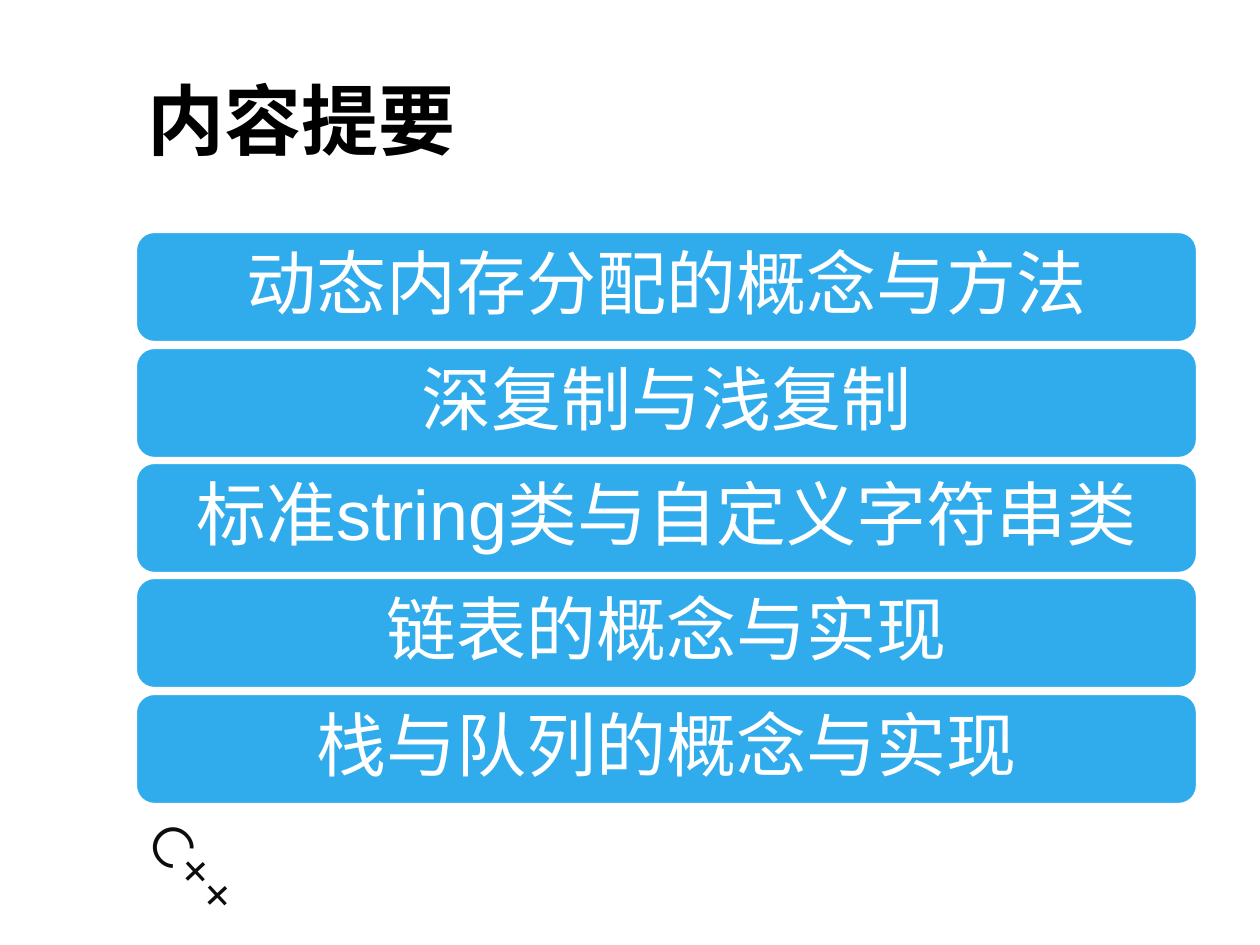
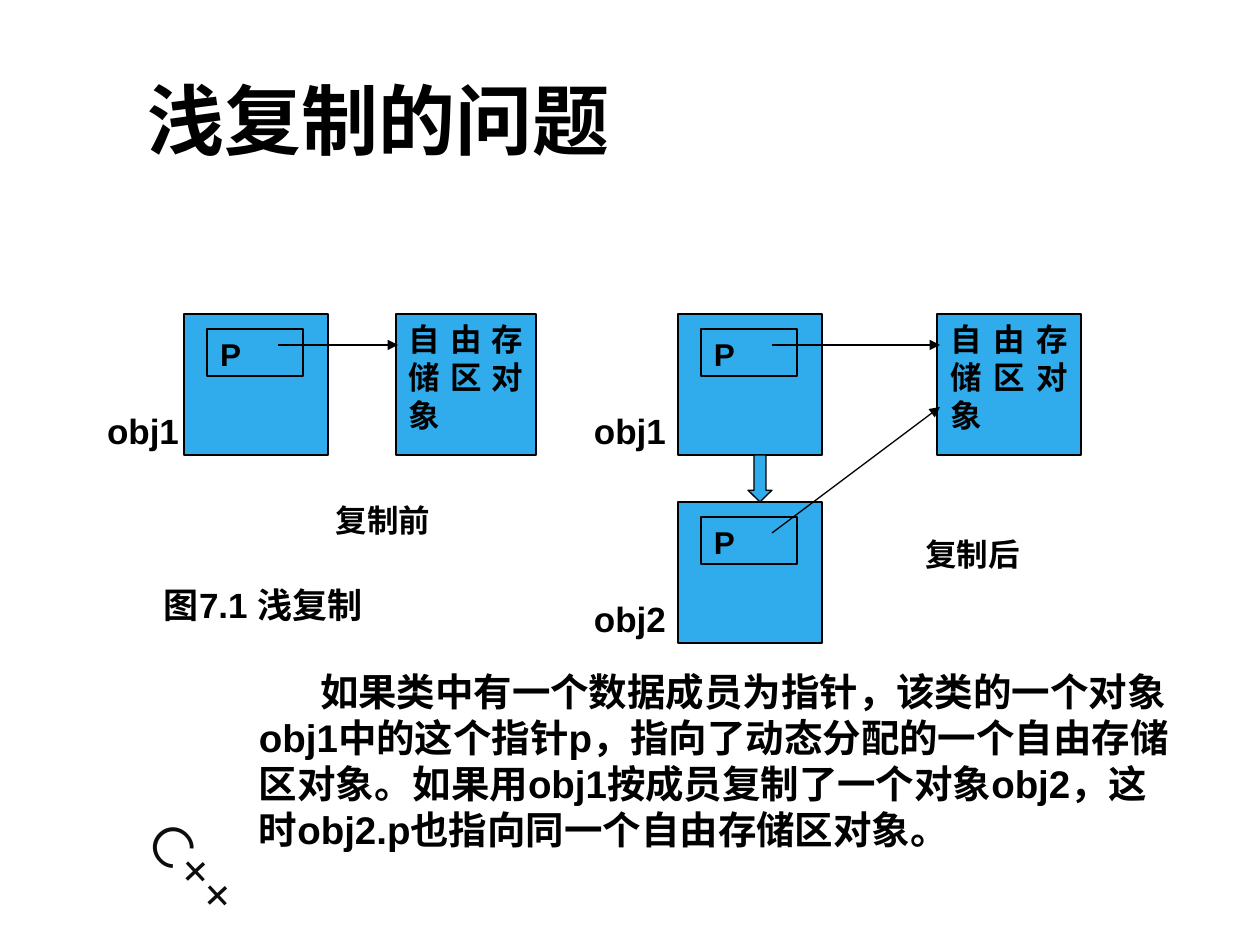
from dataclasses import dataclass
from typing import Any, NamedTuple

from lxml import etree
from pptx import Presentation
from pptx import util as u
from pptx.dml.color import RGBColor
from pptx.enum import shapes, text
from pptx.oxml.ns import qn

PX = 914400 / 126
COLORS = {"box": "30ACEC", "ink": "000000", "paper": "FFFFFF", "mark": "0D0D0D"}
FONT = "Arial"
SHAPE = shapes.MSO_SHAPE
ALIGN = text.PP_ALIGN
ANCHOR = text.MSO_ANCHOR


class Box(NamedTuple):
    x: int
    y: int
    w: int
    h: int


@dataclass(frozen=True)
class Style:
    size: int
    bold: bool = True
    color: str = "ink"
    font: str = FONT
    align: Any = ALIGN.LEFT
    anchor: Any = ANCHOR.TOP
    spacing: float = 1.0
    inset: tuple[int, int] = (13, 6)
    wrap: bool = True
    indent: int = 0


@dataclass(frozen=True)
class Label:
    words: str
    box: Box
    style: Style


@dataclass(frozen=True)
class Arrow:
    x1: int
    y1: int
    x2: int
    y2: int


TITLE = Style(44, anchor=ANCHOR.MIDDLE)
MARK = Style(32, bold=False, color="mark", font="Montserrat")
TOPIC = Style(40, bold=False, color="paper", align=ALIGN.CENTER,
              anchor=ANCHOR.MIDDLE, spacing=0.9, inset=(26, 15))
CELL = Style(18, align=ALIGN.JUSTIFY)
STATE = Style(18, wrap=False)
OBJECT_NAME = Style(20, wrap=False)
CAPTION = Style(20)
BODY = Style(22, indent=61)

TITLE_BOX = Box(135, 36, 1062, 166)
MARK_BOX = Box(118, 854, 203, 81)

TOPICS = ["动态内存分配的概念与方法", "深复制与浅复制", "标准string类与自定义字符串类",
          "链表的概念与实现", "栈与队列的概念与实现"]
TOPIC_AREA = Box(136, 232, 1061, 572)
TOPIC_HEIGHT = 110

SIDE, HEIGHT = 144, 141
TOP, COPY_TOP = 314, 502
BEFORE_X, AFTER_X = 184, 678
OBJECTS = [Box(x, y, SIDE, HEIGHT)
           for x, y in [(BEFORE_X, TOP), (AFTER_X, TOP), (AFTER_X, COPY_TOP)]]
HEAPS = [Box(396, TOP, 140, HEIGHT), Box(937, TOP, SIDE, HEIGHT)]
POINTER = Box(23, 15, 96, 47)
POINTER_START = (94, 31)
POINTER_ENDS = [(398, 345), (940, 345), (940, 407)]
COPY_ARROW = Box(748, TOP + HEIGHT, 24, COPY_TOP - TOP - HEIGHT)

LABELS = [
    Label("图7.1 浅复制", Box(151, 577, 290, 58), CAPTION),
    Label("复制前", Box(323, 495, 130, 50), STATE),
    Label("复制后", Box(912, 529, 130, 50), STATE),
    Label("obj1", Box(94, 403, 105, 55), OBJECT_NAME),
    Label("obj1", Box(581, 403, 105, 55), OBJECT_NAME),
    Label("obj2", Box(581, 591, 105, 55), OBJECT_NAME),
    Label("如果类中有一个数据成员为指针，该类的一个对象obj1中的这个指针p，"
          "指向了动态分配的一个自由存储区对象。如果用obj1按成员复制了一个对象obj2，"
          "这时obj2.p也指向同一个自由存储区对象。", Box(246, 662, 949, 199), BODY),
]


def emu(px: float) -> u.Emu:
    return u.Emu(round(px * PX))


def rgb(name: str) -> RGBColor:
    return RGBColor.from_string(COLORS[name])


def assign(target: Any, values: dict[str, Any]) -> None:
    for name, value in values.items():
        setattr(target, name, value)


def write(sp: Any, words: str, style: Style) -> None:
    tf = sp.text_frame
    dx, dy = map(emu, style.inset)
    assign(tf, {"word_wrap": style.wrap, "auto_size": text.MSO_AUTO_SIZE.NONE,
                "vertical_anchor": style.anchor, "margin_left": dx,
                "margin_right": dx, "margin_top": dy, "margin_bottom": dy})
    p = tf.paragraphs[0]
    assign(p, {"alignment": style.align, "line_spacing": style.spacing})
    if style.indent:
        p._p.get_or_add_pPr().set("indent", str(emu(style.indent)))
    r = p.add_run()
    r.text = words
    assign(r.font, {"name": style.font, "size": u.Pt(style.size), "bold": style.bold})
    r.font.color.rgb = rgb(style.color)


def add_box(slide: Any, kind: Any, box: Box, line: str = "ink", width: float = 0.75) -> Any:
    sp = slide.shapes.add_shape(kind, *map(emu, box))
    sp.shadow.inherit = False
    sp.fill.solid()
    sp.fill.fore_color.rgb = rgb("box")
    sp.line.color.rgb = rgb(line)
    sp.line.width = u.Pt(width)
    return sp


def add_label(slide: Any, label: Label) -> Any:
    sp = slide.shapes.add_textbox(*map(emu, label.box))
    write(sp, label.words, label.style)
    return sp


def add_arrow(slide: Any, arrow: Arrow) -> None:
    ends = map(emu, (arrow.x1, arrow.y1, arrow.x2, arrow.y2))
    sp = slide.shapes.add_connector(shapes.MSO_CONNECTOR.STRAIGHT, *ends)
    sp.line.color.rgb = rgb("ink")
    sp.line.width = u.Pt(0.75)
    etree.SubElement(sp.line._get_or_add_ln(), qn("a:tailEnd"), type="triangle")
    etree.SubElement(sp._element.spPr, qn("a:effectLst"))


def add_slide(prs: Any, title: str) -> Any:
    """Add a slide with its title and the rotated course mark."""
    slide = prs.slides.add_slide(prs.slide_layouts[5])
    add_label(slide, Label("C++", MARK_BOX, MARK)).rotation = 46.9
    sp = slide.shapes.title
    assign(sp, dict(zip(("left", "top", "width", "height"), map(emu, TITLE_BOX))))
    write(sp, title, TITLE)
    return slide


def build_outline(prs: Any) -> None:
    slide = add_slide(prs, "内容提要")
    area = TOPIC_AREA
    step = (area.h - TOPIC_HEIGHT) / (len(TOPICS) - 1)
    for i, topic in enumerate(TOPICS):
        bar = Box(area.x, round(area.y + i * step), area.w, TOPIC_HEIGHT)
        sp = add_box(slide, SHAPE.ROUNDED_RECTANGLE, bar, "paper", 1.25)
        write(sp, topic, TOPIC)


def build_shallow_copy(prs: Any) -> None:
    slide = add_slide(prs, "浅复制的问题")
    for heap in HEAPS:
        write(add_box(slide, SHAPE.RECTANGLE, heap), "自由存储区对象", CELL)
    for obj in OBJECTS:
        add_box(slide, SHAPE.RECTANGLE, obj)
        pointer = Box(obj.x + POINTER.x, obj.y + POINTER.y, POINTER.w, POINTER.h)
        write(add_box(slide, SHAPE.RECTANGLE, pointer), "P", CELL)
    for obj, end in zip(OBJECTS, POINTER_ENDS):
        dx, dy = POINTER_START
        add_arrow(slide, Arrow(obj.x + dx, obj.y + dy, *end))
    sp = add_box(slide, SHAPE.DOWN_ARROW, COPY_ARROW)
    sp.adjustments[0], sp.adjustments[1] = 0.5, 0.49
    for label in LABELS:
        add_label(slide, label)


def main() -> None:
    prs = Presentation()
    assign(prs, {"slide_width": u.Inches(10), "slide_height": u.Inches(7.5)})
    build_outline(prs)
    build_shallow_copy(prs)
    prs.save("out.pptx")


if __name__ == "__main__":
    main()
